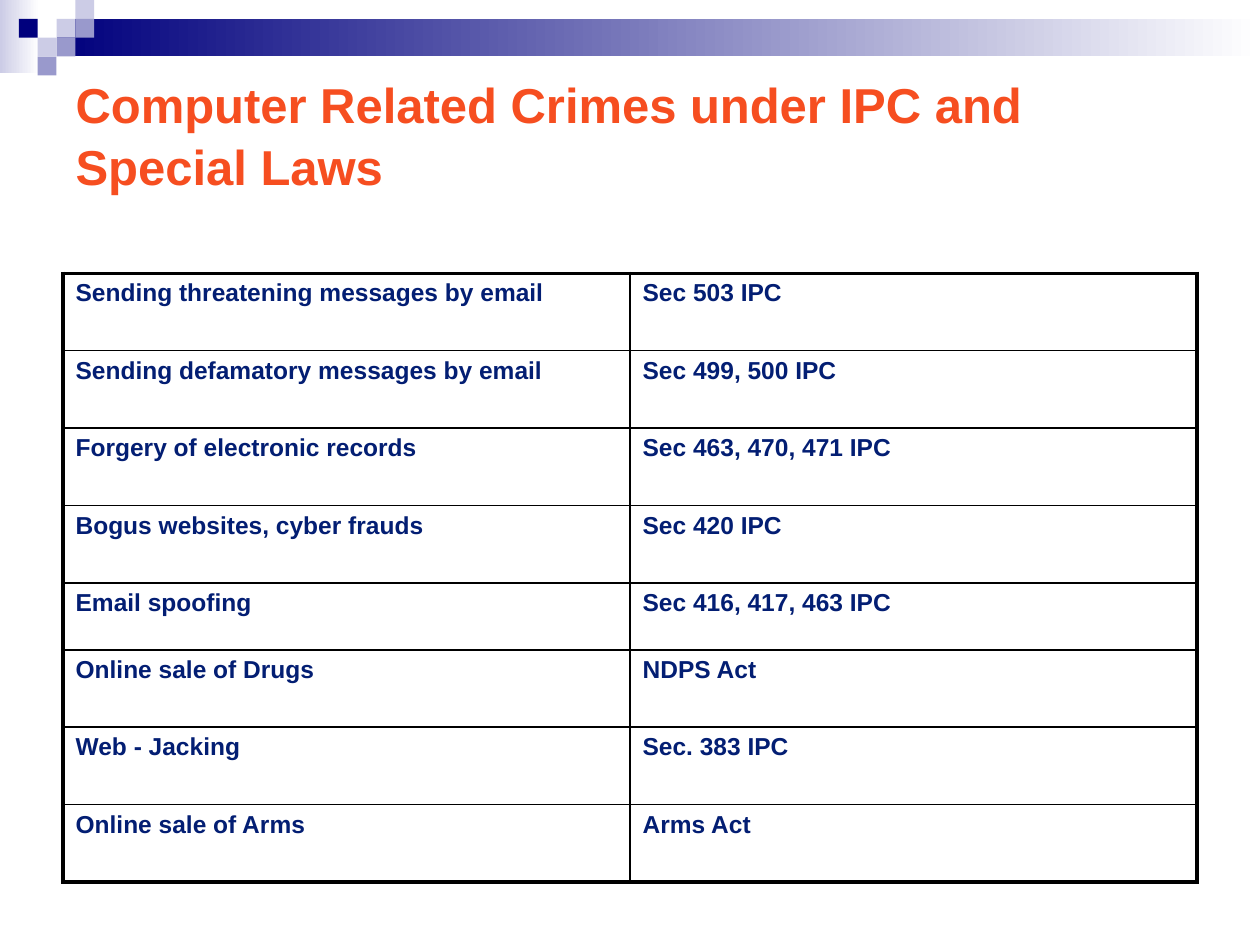
from dataclasses import dataclass

from lxml import etree
from pptx import Presentation
from pptx.dml.color import RGBColor
from pptx.enum import shapes, text
from pptx.oxml import ns
from pptx.util import Cm, Pt


@dataclass(frozen=True)
class Theme:
    font: str = "Arial"
    title_size: int = 28
    body_size: int = 14
    title: str = "F64E20"
    body: str = "031E73"
    navy: str = "00007D"
    mid: str = "9999CC"
    pale: str = "CCCCE6"
    white: str = "FFFFFF"
    border: str = "000000"
    outer_line: float = 2.25
    inner_line: float = 1


THEME = Theme()
TILE = 0.38  # side of a header square in cm
TILES = [  # column, row, colour
    (3, 1, THEME.pale), (4, 0, THEME.pale), (4, 1, THEME.mid),
    (2, 2, THEME.pale), (1, 1, THEME.navy), (3, 2, THEME.mid),
    (2, 3, THEME.mid),
]
CRIMES = [
    ("Sending threatening messages by email", "Sec 503 IPC"),
    ("Sending defamatory messages by email", "Sec 499, 500 IPC"),
    ("Forgery of electronic records", "Sec 463, 470, 471 IPC"),
    ("Bogus websites, cyber frauds", "Sec 420 IPC"),
    ("Email spoofing", "Sec 416, 417, 463 IPC"),
    ("Online sale of Drugs", "NDPS Act"),
    ("Web - Jacking", "Sec. 383 IPC"),
    ("Online sale of Arms", "Arms Act"),
]
ROW_HEIGHT = 1.56
SHORT_ROW, SHORT_HEIGHT = 4, 1.35


def style_font(para, size, color):
    para.font.name = THEME.font
    para.font.size = Pt(size)
    para.font.bold = True
    para.font.color.rgb = RGBColor.from_string(color)


def add_block(page, left, top, width, height, *colors):
    """Add a borderless rectangle: one colour is solid, two fade left to right."""
    block = page.shapes.add_shape(
        shapes.MSO_SHAPE.RECTANGLE, Cm(left), Cm(top), Cm(width), Cm(height))
    block.shadow.inherit = False
    block.line.fill.background()
    if len(colors) == 1:
        block.fill.solid()
        block.fill.fore_color.rgb = RGBColor.from_string(colors[0])
        return
    block.fill.gradient()
    block.fill.gradient_angle = 0
    for stop, color in zip(block.fill.gradient_stops, colors):
        stop.color.rgb = RGBColor.from_string(color)


def add_header(page):
    add_block(page, 0, 0, 0.79, 1.47, THEME.pale, THEME.white)
    add_block(page, 3 * TILE, TILE, 25.4 - 3 * TILE, 2 * TILE, THEME.navy, THEME.white)
    for column, row, color in TILES:
        add_block(page, column * TILE, row * TILE, TILE, TILE, color)


def set_title(page, words):
    title = page.shapes.title
    title.left, title.top, title.width, title.height = Cm(1.27), Cm(1.27), Cm(22.86), Cm(3.81)
    frame = title.text_frame
    frame.text = words
    frame.word_wrap = True
    frame.auto_size = text.MSO_AUTO_SIZE.NONE
    frame.vertical_anchor = text.MSO_ANCHOR.TOP
    frame.margin_top = Cm(0.18)
    para = frame.paragraphs[0]
    para.alignment = text.PP_ALIGN.LEFT
    para.line_spacing = 1.05
    style_font(para, THEME.title_size, THEME.title)


def set_borders(cell, outer_sides):
    properties = cell._tc.get_or_add_tcPr()
    for side in "LRTB":
        width = THEME.outer_line if side in outer_sides else THEME.inner_line
        line = etree.SubElement(properties, ns.qn(f"a:ln{side}"), w=str(Pt(width)))
        fill = etree.SubElement(line, ns.qn("a:solidFill"))
        etree.SubElement(fill, ns.qn("a:srgbClr"), val=THEME.border)


def add_crime_table(page):
    heights = [SHORT_HEIGHT if i == SHORT_ROW else ROW_HEIGHT for i in range(len(CRIMES))]
    table = page.shapes.add_table(
        len(CRIMES), 2, Cm(1.27), Cm(5.51), Cm(22.86), Cm(sum(heights))).table
    table.first_row = table.horz_banding = False
    for row, (height, entries) in enumerate(zip(heights, CRIMES)):
        table.rows[row].height = Cm(height)
        for column, words in enumerate(entries):
            cell = table.cell(row, column)
            cell.text = words
            style_font(cell.text_frame.paragraphs[0], THEME.body_size, THEME.body)
            outer_sides = "LR"[column]
            if row == 0:
                outer_sides += "T"
            if row == len(CRIMES) - 1:
                outer_sides += "B"
            set_borders(cell, outer_sides)
            cell.fill.background()


def main():
    deck = Presentation()
    deck.slide_width, deck.slide_height = Cm(25.4), Cm(19.05)
    page = deck.slides.add_slide(deck.slide_layouts[5])
    add_header(page)
    set_title(page, "Computer Related Crimes under IPC and Special Laws")
    add_crime_table(page)
    deck.save("out.pptx")


if __name__ == "__main__":
    main()
